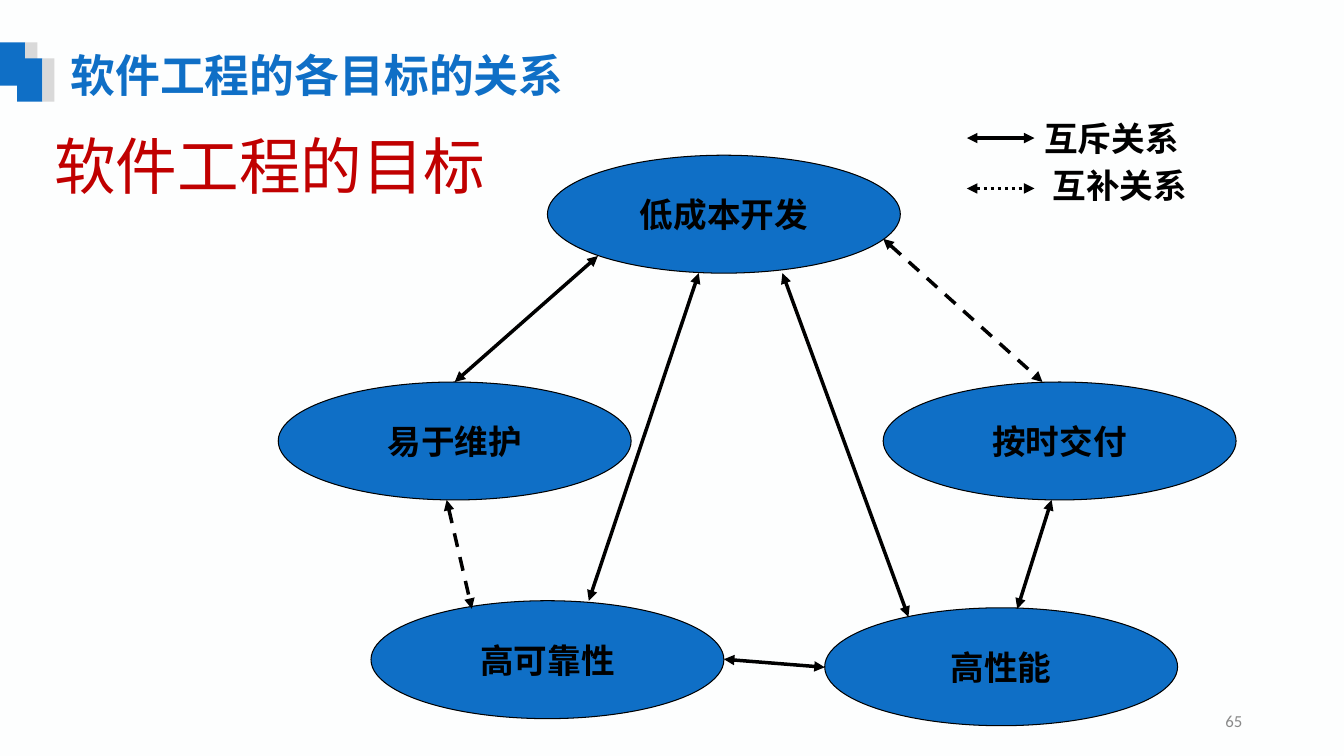
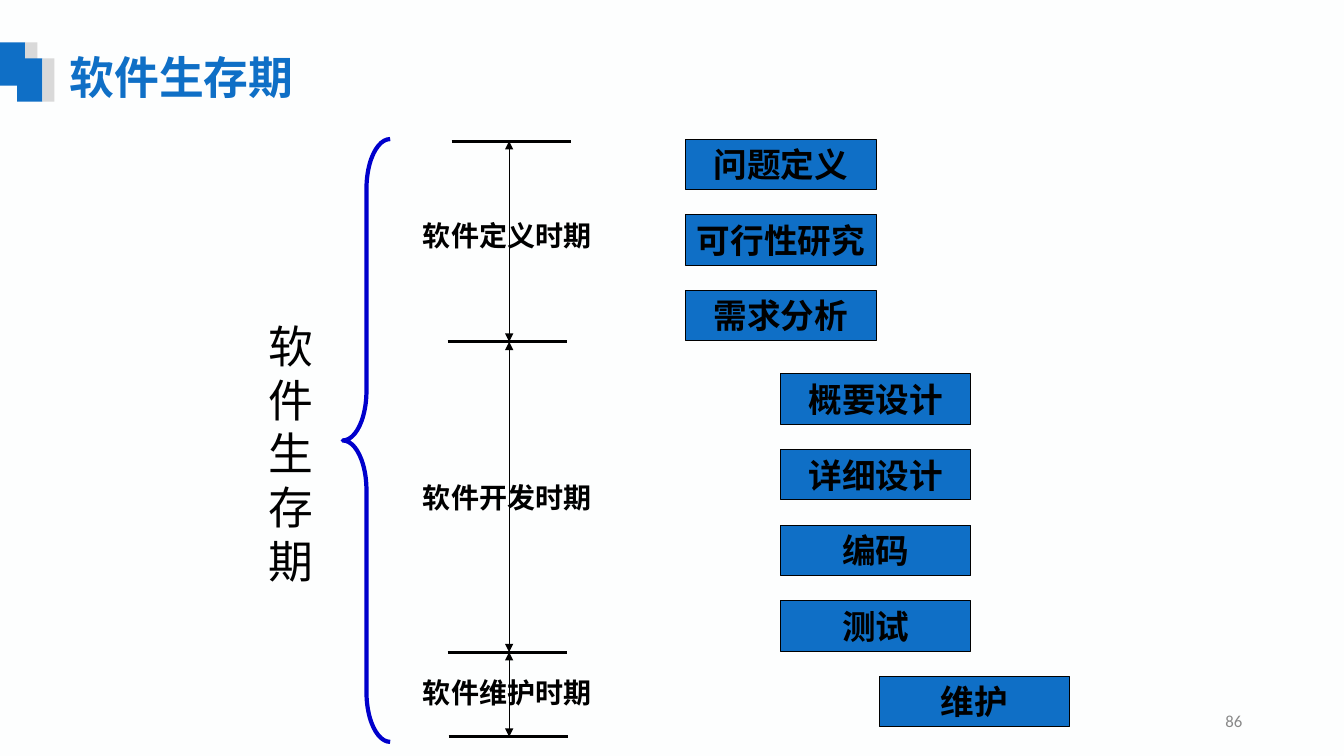
"""Build two slides on software engineering goals and the software life cycle."""
from lxml.etree import SubElement
from pptx import Presentation
from pptx.dml.color import RGBColor
from pptx.enum.dml import MSO_LINE
from pptx.enum.shapes import MSO_CONNECTOR, MSO_SHAPE
from pptx.enum.text import MSO_ANCHOR, PP_ALIGN
from pptx.oxml.ns import qn
from pptx.util import Inches, Pt


class Theme:
    blue = RGBColor.from_string("0F6FC6")
    gray = RGBColor.from_string("D9D9D9")
    red = RGBColor.from_string("C00000")
    navy = RGBColor.from_string("0000CC")
    black = RGBColor.from_string("000000")
    mute = RGBColor.from_string("898989")
    paper = RGBColor.from_string("FDFEFE")
    sans, plain, cjk = "Arial", "Calibri", "Noto Sans CJK SC"
    hero, head, node, label, foot = 44, 32, 24, 20, 12


def write(shape, text, size, color=Theme.black, font=Theme.sans, bold=True,
          align=PP_ALIGN.LEFT, anchor=MSO_ANCHOR.TOP, wrap=True):
    frame = shape.text_frame
    frame.text = text
    frame.word_wrap = wrap
    frame.vertical_anchor = anchor
    for para in frame.paragraphs:
        para.alignment = align
        for run in para.runs:
            run.font.size = Pt(size)
            run.font.bold = bold
            run.font.name = font
            run.font.color.rgb = color
            SubElement(run.font._element, qn("a:ea")).set("typeface", Theme.cjk)


def link(shapes, ends, width, arrows=True, dash=None):
    line = shapes.add_connector(MSO_CONNECTOR.STRAIGHT, *map(Inches, ends))
    line.line.color.rgb = Theme.black
    line.line.width = Pt(width)
    if dash:
        line.line.dash_style = dash
    if arrows:
        for tag in ("a:headEnd", "a:tailEnd"):
            SubElement(line.line._get_or_add_ln(), qn(tag)).set("type", "triangle")
    SubElement(line._element.spPr, qn("a:effectLst"))


deck = Presentation()
deck.slide_width, deck.slide_height = Inches(13.33), Inches(7.5)

pages = []
for title, left, top, page in (
    ("软件工程的各目标的关系", 0.6, 0.42, "65"),
    ("软件生存期", 0.59, 0.44, "86"),
):
    slide = deck.slides.add_slide(deck.slide_layouts[6])
    slide.background.fill.solid()
    slide.background.fill.fore_color.rgb = Theme.paper
    shapes = slide.shapes
    for x, y in ((0, 0.42), (0.17, 0.58)):
        for start, width, color in ((x, 0.25, Theme.blue), (x + 0.25, 0.12, Theme.gray)):
            block = shapes.add_shape(MSO_SHAPE.RECTANGLE, Inches(start), Inches(y),
                                     Inches(width), Inches(0.43))
            block.shadow.inherit = False
            block.fill.solid()
            block.fill.fore_color.rgb = color
            block.line.fill.background()
    box = shapes.add_textbox(Inches(left), Inches(top), Inches(7.82), Inches(0.64))
    write(box, title, Theme.head, Theme.blue, Theme.cjk)
    box = shapes.add_textbox(Inches(9.42), Inches(6.95), Inches(3), Inches(0.4))
    write(box, page, Theme.foot, Theme.mute, Theme.plain, False,
          PP_ALIGN.RIGHT, MSO_ANCHOR.MIDDLE)
    pages.append(shapes)

goals, cycle = pages

box = goals.add_textbox(Inches(0.44), Inches(0.96), Inches(11.5), Inches(1.45))
write(box, "软件工程的目标", Theme.hero, Theme.red, Theme.plain, False,
      anchor=MSO_ANCHOR.MIDDLE)
box.text_frame.paragraphs[0].line_spacing = 0.9

nodes = [
    (goals, MSO_SHAPE.OVAL, x, y, 3.5, 1.17, text)
    for text, x, y in (
        ("低成本开发", 5.43, 1.54),
        ("易于维护", 2.76, 3.79),
        ("按时交付", 8.76, 3.79),
        ("高可靠性", 3.68, 5.96),
        ("高性能", 8.18, 6.03),
    )
]
for x, y, names in (
    (6.8, 1.38, ("问题定义", "可行性研究", "需求分析")),
    (7.74, 3.71, ("概要设计", "详细设计", "编码", "测试")),
    (8.72, 6.71, ("维护",)),
):
    for row, name in enumerate(names):
        nodes.append((cycle, MSO_SHAPE.RECTANGLE, x, y + 0.75 * row, 1.89, 0.5, name))

for shapes, kind, x, y, width, height, text in nodes:
    node = shapes.add_shape(kind, Inches(x), Inches(y), Inches(width), Inches(height))
    node.shadow.inherit = False
    node.fill.solid()
    node.fill.fore_color.rgb = Theme.blue
    node.line.color.rgb = Theme.black
    node.line.width = Pt(0.75)
    write(node, text, Theme.node, align=PP_ALIGN.CENTER,
          anchor=MSO_ANCHOR.MIDDLE, wrap=False)

for dash, routes in (
    (None, (
        (4.51, 3.79, 5.93, 2.54),
        (6.93, 2.71, 5.84, 5.96),
        (7.18, 6.54, 8.18, 6.62),
        (7.76, 2.71, 9.01, 6.12),
        (10.09, 6.04, 10.43, 4.96),
        (9.59, 1.37, 10.26, 1.37),
    )),
    (MSO_LINE.DASH, ((4.43, 4.96, 4.68, 6.04), (8.76, 2.37, 10.34, 3.79))),
    (MSO_LINE.ROUND_DOT, ((9.59, 1.87, 10.26, 1.87),)),
):
    for ends in routes:
        link(goals, ends, 2.5, dash=dash)

for text, x, y in (("互斥关系", 10.26, 1.12), ("互补关系", 10.34, 1.59)):
    box = goals.add_textbox(Inches(x), Inches(y), Inches(1.75), Inches(0.5))
    write(box, text, Theme.node)

marks = ((4.48, 1.4), (4.44, 3.39), (4.44, 6.47), (4.45, 7.31))
for x, y in marks:
    link(cycle, (x, y, x + 1.18, y), 2.25, arrows=False)
for (_, start), (_, end) in zip(marks, marks[1:]):
    link(cycle, (5.05, start, 5.05, end), 0.75)
for text, y in (("软件定义时期", 2.12), ("软件开发时期", 4.72), ("软件维护时期", 6.65)):
    box = cycle.add_textbox(Inches(4.09), Inches(y), Inches(1.88), Inches(0.43))
    write(box, text, Theme.label, align=PP_ALIGN.CENTER, wrap=False)

brace = cycle.add_shape(MSO_SHAPE.LEFT_BRACE, Inches(3.4), Inches(1.38),
                        Inches(0.47), Inches(5.98))
brace.shadow.inherit = False
brace.adjustments[0] = 1.05
brace.fill.background()
brace.line.color.rgb = Theme.navy
brace.line.width = Pt(3)

box = cycle.add_textbox(Inches(2.56), Inches(3.11), Inches(0.65), Inches(2.79))
write(box, "\n".join("软件生存期"), Theme.head, bold=False, wrap=False)

deck.save("out.pptx")
